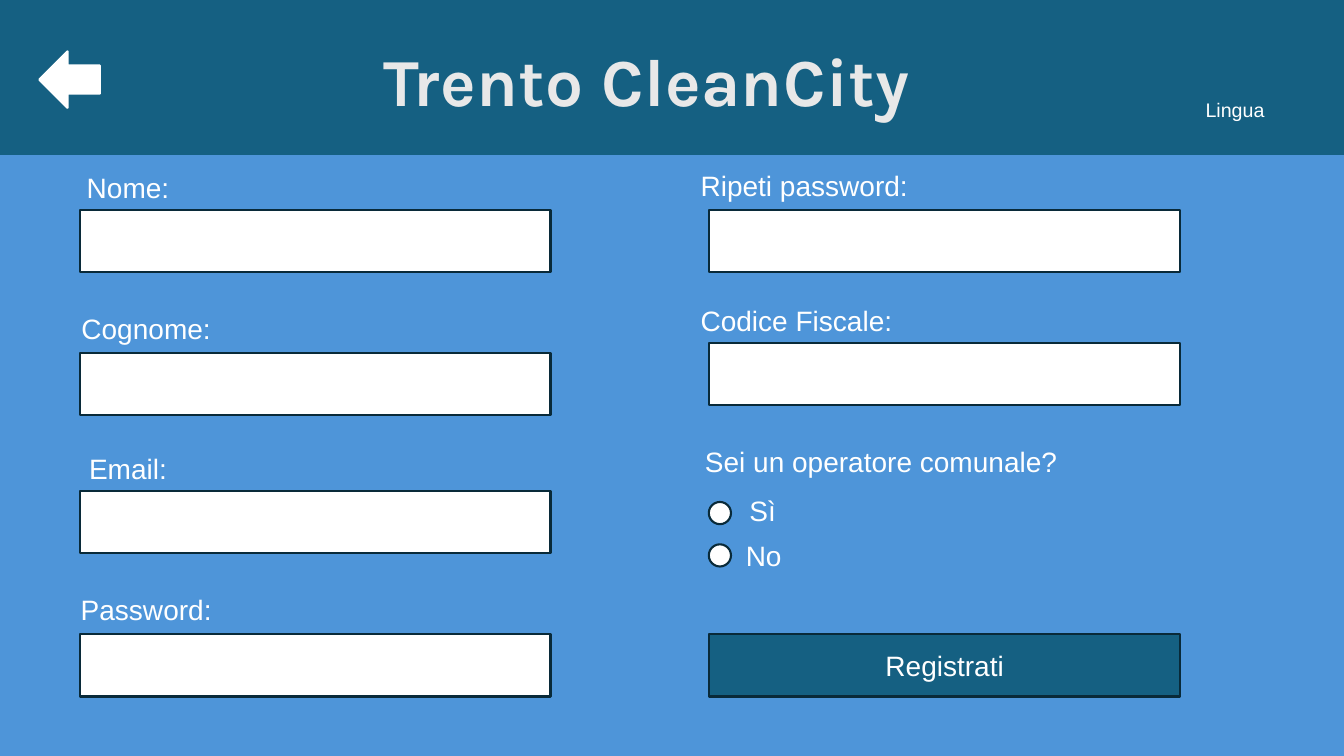
from pptx import Presentation
from pptx.dml.color import RGBColor
from pptx.enum.shapes import MSO_SHAPE
from pptx.enum.text import PP_ALIGN
from pptx.util import Inches, Pt

TEAL, BLUE, INK, WHITE = "156082", "4E95D9", "092A39", "FFFFFF"
FIELD_W, FIELD_H = 4.67, 0.62
LEFT_X, RIGHT_X = 0.79, 7.03
RADIO_D = 0.22

FIELDS = [
    ("Nome:", LEFT_X, 2.08, (0.42, 1.64, 1.7), PP_ALIGN.CENTER),
    ("Cognome:", LEFT_X, 3.5, (0.6, 3.04, 1.7), PP_ALIGN.CENTER),
    ("Email:", LEFT_X, 4.87, (0.42, 4.43, 1.7), PP_ALIGN.CENTER),
    ("Password:", LEFT_X, 6.29, (0.6, 5.83, 1.7), PP_ALIGN.CENTER),
    ("Ripeti password:", RIGHT_X, 2.08, (6.85, 1.62, 3.32), PP_ALIGN.LEFT),
    ("Codice Fiscale:", RIGHT_X, 3.4, (6.67, 2.96, 2.46), PP_ALIGN.CENTER),
]
OPTIONS = [("Sì", 4.98, 7.25, 4.85), ("No", 5.4, 7.26, 5.29)]


def rgb(color):
    return RGBColor.from_string(color)


def add_box(s, x, y, w, h, kind=MSO_SHAPE.RECTANGLE, fill=WHITE, line=INK):
    sp = s.shapes.add_shape(kind, Inches(x), Inches(y), Inches(w), Inches(h))
    sp.shadow.inherit = False
    sp.fill.solid()
    sp.fill.fore_color.rgb = rgb(fill)
    if line:
        sp.line.color.rgb = rgb(line)
        sp.line.width = Pt(1.5)
    else:
        sp.line.fill.background()
    return sp


def add_text(s, text, x, y, w, h=0.44, size=20, font="Arial", color=WHITE,
             bold=False, align=PP_ALIGN.CENTER, spacing=None):
    sp = s.shapes.add_textbox(Inches(x), Inches(y), Inches(w), Inches(h))
    tf = sp.text_frame
    tf.word_wrap = True
    p = tf.paragraphs[0]
    p.alignment = align
    r = p.add_run()
    r.text = text
    r.font.size = Pt(size)
    r.font.name = font
    r.font.bold = bold
    r.font.color.rgb = rgb(color)
    if spacing:
        r.font._element.set("spc", str(round(spacing * 100)))


def add_field(s, label, x, y, label_at, align):
    add_box(s, x, y, FIELD_W, FIELD_H)
    add_text(s, label, *label_at, align=align)


def add_option(s, label, y, label_x, label_y):
    add_box(s, RIGHT_X, y, RADIO_D, RADIO_D, kind=MSO_SHAPE.OVAL)
    add_text(s, label, label_x, label_y, 0.63)


def add_header(s):
    add_box(s, 0.39, 0.51, 0.6, 0.56, kind=MSO_SHAPE.LEFT_ARROW, line=WHITE)
    add_text(s, "Trento CleanCity", 3.48, 0.34, 5.87, 0.91, size=48,
             font="Karla", color="E8E8E8", bold=True, spacing=0.3)
    add_text(s, "Lingua", 11.43, 0.92, 1.64, 0.53, size=14)


def main():
    prs = Presentation()
    prs.slide_width, prs.slide_height = Inches(13.33), Inches(7.5)
    s = prs.slides.add_slide(prs.slide_layouts[6])
    s.background.fill.solid()
    s.background.fill.fore_color.rgb = rgb(TEAL)

    add_box(s, 0, 1.54, 13.33, 5.96, fill=BLUE, line=None)
    add_header(s)
    for field in FIELDS:
        add_field(s, *field)
    add_text(s, "Sei un operatore comunale?", 6.74, 4.36, 4)
    for option in OPTIONS:
        add_option(s, *option)
    add_box(s, RIGHT_X, 6.29, FIELD_W, FIELD_H, fill=TEAL)
    add_text(s, "Registrati", 8.04, 6.38, 2.66)

    prs.save("out.pptx")


if __name__ == "__main__":
    main()
